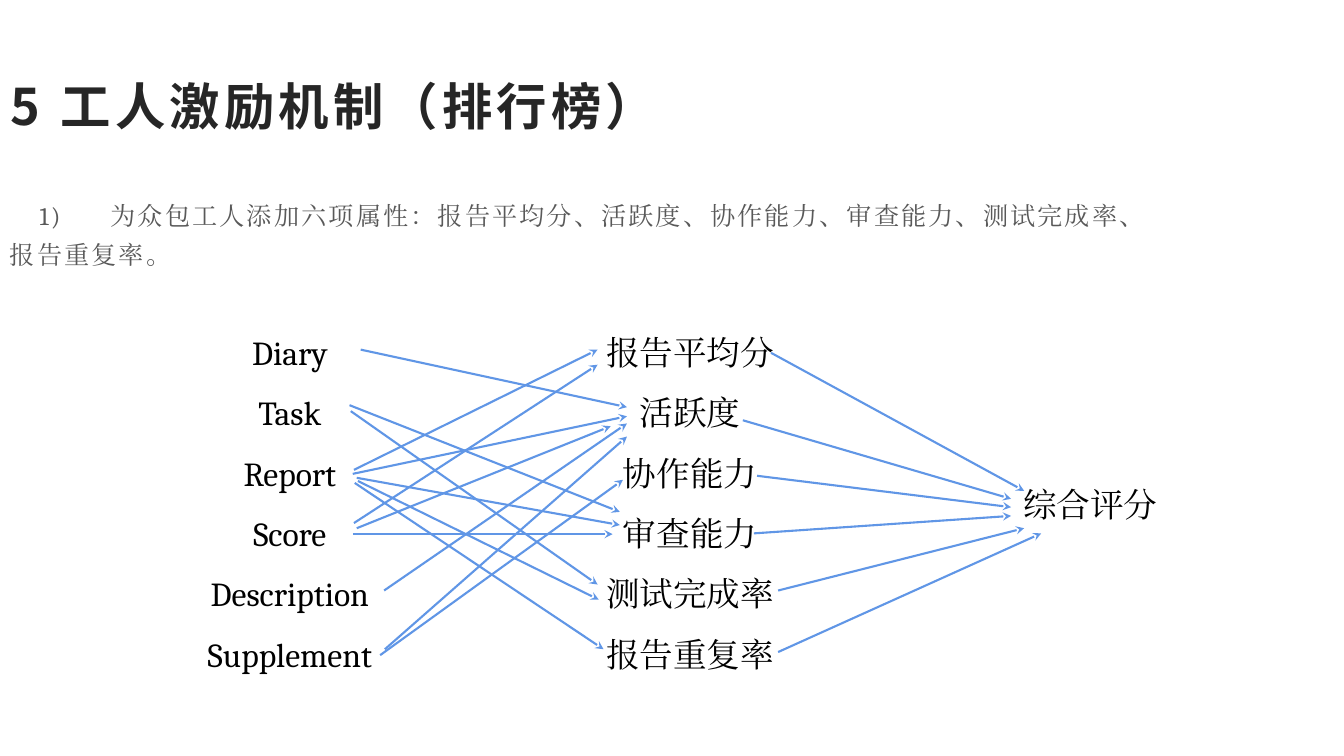
from dataclasses import dataclass

from pptx import Presentation, util as u
from pptx.dml.color import RGBColor
from pptx.enum import shapes, text
from pptx.oxml.ns import qn
from lxml import etree


@dataclass(frozen=True)
class Theme:
    """Colours, fonts and type sizes of the slide."""
    title: str = "262626"
    body: str = "595959"
    label: str = "000000"
    arrow: str = "6096E6"
    serif: str = "Cambria"
    sans: str = "Arial"
    chinese: str = "Noto Sans CJK SC"
    title_size: int = 36
    body_size: int = 18
    label_size: int = 24
    arrow_width: float = 1.5


THEME = Theme()

SOURCES = ["Diary", "Task", "Report", "Score", "Description", "Supplement"]
ATTRIBUTES = ["报告平均分", "活跃度", "协作能力", "审查能力", "测试完成率", "报告重复率"]
TOTAL = ["综合评分"]

SOURCE_ARROWS = [
    (4.54, 1.09, 11.25, 2.54),
    (4.37, 4.12, 10.51, 1.09),
    (4.37, 5.46, 10.51, 1.47),
    (5.13, 7.16, 11.25, 2.95),
    (4.34, 4.22, 11.25, 2.77),
    (4.44, 5.59, 10.84, 3.02),
    (5.15, 8.64, 11.25, 3.28),
    (4.39, 4.45, 10.66, 8.64),
    (4.29, 2.64, 10.51, 7.01),
    (4.47, 4.4, 10.54, 7.39),
    (5.03, 8.79, 11.15, 4.37),
    (4.44, 4.32, 11.07, 5.51),
    (4.34, 5.74, 10.89, 5.74),
    (4.26, 2.49, 11.07, 5.18),
]
TOTAL_ARROWS = [
    (14.88, 1.17, 21.26, 4.65),
    (14.17, 2.87, 20.93, 4.85),
    (14.53, 4.27, 20.93, 5.06),
    (14.45, 5.72, 20.93, 5.28),
    (15.06, 7.16, 21.26, 5.59),
    (15.06, 8.71, 21.69, 5.72),
]


def add_run(paragraph, words, size, color, latin, east_asian, bold=False, spacing=0):
    """Append one formatted run to a paragraph."""
    run = paragraph.add_run()
    run.text = words
    run.font.size = u.Pt(size)
    run.font.bold = bold
    run.font.color.rgb = RGBColor.from_string(color)
    run.font.name = latin
    properties = run._r.get_or_add_rPr()
    properties.set("spc", str(int(spacing * 100)))
    etree.SubElement(properties, qn("a:ea"), typeface=east_asian)


def add_tab(paragraph, position, indent=0):
    """Give a paragraph a left tab stop and a first-line indent in centimetres."""
    properties = paragraph._p.get_or_add_pPr()
    properties.set("marL", "0")
    properties.set("indent", str(u.Cm(indent)))
    stops = etree.SubElement(properties, qn("a:tabLst"))
    etree.SubElement(stops, qn("a:tab"), pos=str(u.Cm(position)), algn="l")


def add_text_box(slide, left, top, width, height):
    """Add a wrapping text box measured in centimetres and return its frame."""
    box = slide.shapes.add_textbox(u.Cm(left), u.Cm(top), u.Cm(width), u.Cm(height))
    box.text_frame.word_wrap = True
    return box.text_frame


def place_title(slide, left, top, width, height):
    """Move the title placeholder into its box and fill it."""
    title = slide.shapes.title
    title.left, title.top = u.Cm(left), u.Cm(top)
    title.width, title.height = u.Cm(width), u.Cm(height)
    frame = title.text_frame
    frame.auto_size = text.MSO_AUTO_SIZE.NONE
    frame.vertical_anchor = text.MSO_ANCHOR.MIDDLE
    paragraph = frame.paragraphs[0]
    add_tab(paragraph, 1.97)
    paragraph.alignment = text.PP_ALIGN.LEFT
    for words, latin in (("5\t", THEME.chinese), ("工人激励机制（排行榜）", THEME.sans)):
        add_run(paragraph, words, THEME.title_size, THEME.title, latin,
                THEME.chinese, bold=True, spacing=3)


def place_body(slide, left, top, width, height):
    """Write the numbered statement above the diagram."""
    paragraph = add_text_box(slide, left, top, width, height).paragraphs[0]
    add_tab(paragraph, 1.86, indent=0.75)
    paragraph.line_spacing = 1.3
    paragraph.space_after = u.Pt(10)
    statement = "1)\t为众包工人添加六项属性：报告平均分、活跃度、协作能力、审查能力、测试完成率、报告重复率。"
    add_run(paragraph, statement, THEME.body_size, THEME.body, THEME.serif,
            THEME.serif, spacing=1.5)


def place_labels(slide, labels, left, top, width, height):
    """Stack centred labels in one column."""
    frame = add_text_box(slide, left, top, width, height)
    for index, label in enumerate(labels):
        paragraph = frame.add_paragraph() if index else frame.paragraphs[0]
        paragraph.alignment = text.PP_ALIGN.CENTER
        paragraph.line_spacing = 1.5
        add_run(paragraph, label, THEME.label_size, THEME.label, THEME.serif, THEME.serif)


def add_arrow(slide, start_x, start_y, end_x, end_y):
    """Draw one stealth-headed arrow between two points in centimetres."""
    arrow = slide.shapes.add_connector(
        shapes.MSO_CONNECTOR.STRAIGHT,
        u.Cm(start_x), u.Cm(start_y), u.Cm(end_x), u.Cm(end_y))
    arrow.line.color.rgb = RGBColor.from_string(THEME.arrow)
    arrow.line.width = u.Pt(THEME.arrow_width)
    etree.SubElement(arrow.line._get_or_add_ln(), qn("a:tailEnd"), type="stealth")
    etree.SubElement(arrow._element.spPr, qn("a:effectLst"))


def place_diagram(slide, left, top, width, height):
    """Lay out three label columns and the arrows between them."""
    column_width, total_height = 5.51, 1.63
    step = (width - column_width) / 2
    place_labels(slide, SOURCES, left, top, column_width, height)
    place_labels(slide, ATTRIBUTES, left + step, top, column_width, height)
    place_labels(slide, TOTAL, left + 2 * step, top + (height - total_height) / 2,
                 column_width, total_height)
    for start_x, start_y, end_x, end_y in SOURCE_ARROWS + TOTAL_ARROWS:
        add_arrow(slide, left + start_x, top + start_y, left + end_x, top + end_y)


def main():
    """Build and save the slide."""
    presentation = Presentation()
    presentation.slide_width, presentation.slide_height = u.Cm(33.87), u.Cm(19.05)
    slide = presentation.slides.add_slide(presentation.slide_layouts[5])
    place_title(slide, 0, 1.68, 30.48, 1.96)
    place_body(slide, 0, 4.7, 28.93, 12.09)
    place_diagram(slide, 4.55, 7.72, 25.68, 9.3)
    presentation.save("out.pptx")


if __name__ == "__main__":
    main()
